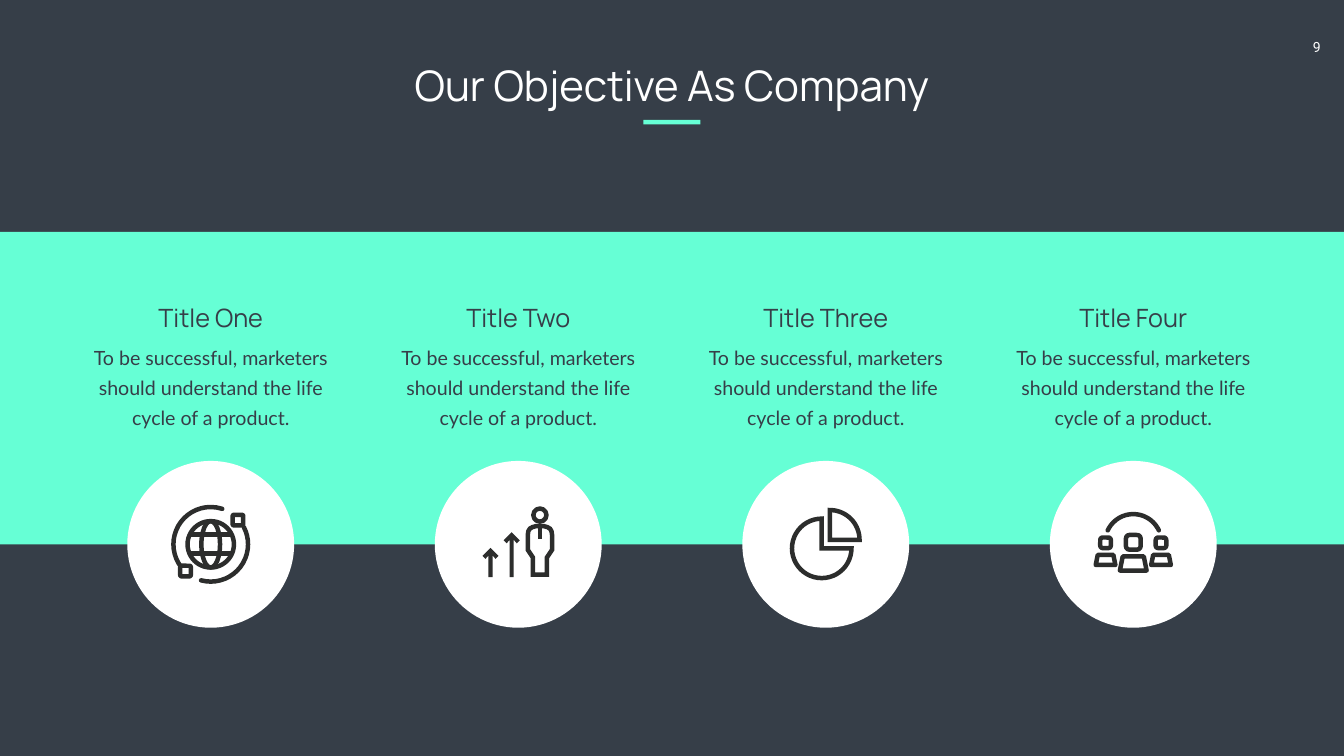
from dataclasses import dataclass
from math import cos, radians, sin

from lxml import etree
from pptx import Presentation
from pptx.dml.color import RGBColor
from pptx.enum.shapes import MSO_CONNECTOR, MSO_SHAPE
from pptx.enum.text import PP_ALIGN
from pptx.oxml.ns import qn
from pptx.util import Inches, Pt

ARC, PIE, OVAL = MSO_SHAPE.ARC, MSO_SHAPE.PIE, MSO_SHAPE.OVAL
RECT, ROUNDED, TRAPEZOID = MSO_SHAPE.RECTANGLE, MSO_SHAPE.ROUNDED_RECTANGLE, MSO_SHAPE.TRAPEZOID
STRAIGHT, CENTER = MSO_CONNECTOR.STRAIGHT, PP_ALIGN.CENTER


@dataclass(frozen=True)
class Theme:
    """Colours, line weight and text formats of the slide."""
    dark = RGBColor(0x36, 0x3E, 0x48)
    mint = RGBColor(0x66, 0xFF, 0xD5)
    white = RGBColor(0xFF, 0xFF, 0xFF)
    ink = RGBColor(0x2C, 0x2D, 0x2C)
    stroke = Pt(6.4)
    number = {"name": "Roboto", "size": Pt(20)}
    heading = {"name": "Manrope", "size": Pt(60)}
    subtitle = {"name": "Manrope", "size": Pt(36)}
    body = {"name": "Lato", "size": Pt(28)}


THEME = Theme()
SUMMARY = "To be successful, marketers should understand the life cycle of a product."


def add_text(slide, box, text, font_format, color, frame_format=None, spacing=None):
    """Place one centred paragraph in a box."""
    frame = slide.shapes.add_textbox(*map(Inches, box)).text_frame
    for name, value in {"word_wrap": True, **(frame_format or {})}.items():
        setattr(frame, name, value)
    paragraph = frame.paragraphs[0]
    paragraph.text = text
    for name, value in {"alignment": CENTER, "line_spacing": spacing}.items():
        setattr(paragraph, name, value)
    for name, value in font_format.items():
        setattr(paragraph.font, name, value)
    paragraph.font.color.rgb = color


def fill_solid(solid, color):
    """Give a shape a plain fill and no outline."""
    solid.shadow.inherit = False
    solid.fill.solid()
    solid.fill.fore_color.rgb = color
    solid.line.fill.background()


def add_solid(slide, kind, box, color):
    """Place a filled preset shape."""
    fill_solid(slide.shapes.add_shape(kind, *map(Inches, box)), color)


def ink_outline(outline, join="round"):
    """Give an icon part the icon stroke and no fill."""
    outline.shadow.inherit = False
    outline.fill.background()
    outline.line.color.rgb = THEME.ink
    outline.line.width = THEME.stroke
    line = outline._element.spPr.get_or_add_ln()
    etree.SubElement(line, qn(f"a:{join}"))
    if join == "miter":
        line[-1].set("lim", "800000")
    return line


def add_outline(slide, kind, x, y, width, height, adjustments=(), join="round"):
    """Place an outlined preset shape centred on a point."""
    box = (x - width / 2, y - height / 2, width, height)
    outline = slide.shapes.add_shape(kind, *map(Inches, box))
    for index, value in enumerate(adjustments):
        outline.adjustments[index] = value
    return ink_outline(outline, join)


def add_sweep(slide, kind, x, y, radius, start, end, join="round"):
    """Place an arc or pie running clockwise between two angles in degrees."""
    line = add_outline(slide, kind, x, y, 2 * radius, 2 * radius, (start * 0.6, end * 0.6), join)
    if kind == ARC:
        line.set("cap", "rnd")


def build_path(slide, x, y, points):
    """Return a closed freeform through points relative to a centre."""
    spots = [(Inches(x + dx), Inches(y + dy)) for dx, dy in points]
    builder = slide.shapes.build_freeform(*spots[0])
    builder.add_line_segments(spots[1:], close=True)
    return builder.convert_to_shape()


def mirrored(half):
    """Complete the right half of a symmetric outline."""
    return half + [(-dx, dy) for dx, dy in reversed(half)]


def add_line(slide, x1, y1, x2, y2):
    """Draw a straight icon stroke."""
    line = slide.shapes.add_connector(STRAIGHT, *map(Inches, (x1, y1, x2, y2)))
    line.line.color.rgb = THEME.ink
    line.line.width = THEME.stroke
    etree.SubElement(line._element.spPr, qn("a:effectLst"))


def globe_icon(slide, x, y):
    """Draw a globe orbited by two square satellites."""
    for width in (0.92, 0.37):
        add_outline(slide, OVAL, x, y, width, 0.92)
    for dy in (-0.19, 0.18):
        add_line(slide, x - 0.42, y + dy, x + 0.42, y + dy)
    for dx, dy, start, end in ((0.54, -0.48, 333, 105), (-0.5, 0.53, 145, 288)):
        add_outline(slide, ROUNDED, x + dx, y + dy, 0.21, 0.21, (0.12,))
        add_sweep(slide, ARC, x, y, 0.74, start, end)


def growth_icon(slide, x, y):
    """Draw two rising arrows beside a standing person."""
    for dx, height in ((-0.55, 0.58), (-0.13, 0.89)):
        half = [(0, 0), (0.16, 0.16), (0.1, 0.22), (0.04, 0.15), (0.04, height)]
        arrow = build_path(slide, x + dx, y + 0.65 - height, mirrored(half))
        fill_solid(arrow, THEME.ink)
    person = x + 0.43
    half = [(0.08, -0.36), (0.15, -0.34), (0.2, -0.31), (0.23, -0.26), (0.24, -0.19),
            (0.24, 0.11), (0.14, 0.26), (0.14, 0.6)]
    ink_outline(build_path(slide, person, y, mirrored(half)), "miter")
    add_line(slide, person, y - 0.36, person, y - 0.1)
    add_outline(slide, OVAL, person, y - 0.58, 0.26, 0.26)


def pie_icon(slide, x, y):
    """Draw a pie with its upper right quarter pulled out."""
    radius = 0.59
    add_sweep(slide, PIE, x - 0.08, y + 0.08, radius, 0, 270, "miter")
    rim = [(radius * sin(radians(angle)), -radius * cos(radians(angle))) for angle in range(0, 91, 5)]
    ink_outline(build_path(slide, x + 0.08, y - 0.09, [(0, 0)] + rim), "miter")


def team_icon(slide, x, y):
    """Draw three people under a joining arc."""
    members = ((0, -0.04, 0.29, 0.38, 0.53, 0.28),
               (-0.55, -0.03, 0.21, 0.31, 0.39, 0.2),
               (0.55, -0.03, 0.21, 0.31, 0.39, 0.2))
    for dx, head_y, head, body_y, width, height in members:
        add_outline(slide, ROUNDED, x + dx, y + head_y, head, head, (0.23,))
        add_outline(slide, TRAPEZOID, x + dx, y + body_y, width, height, (0.2,))
    add_sweep(slide, ARC, x, y - 0.04, 0.56, 205, 335)


def add_header(slide, left, top, width):
    """Place the heading and the short rule centred under it."""
    add_text(slide, (left, top, width, 1.11), "Our Objective As Company", THEME.heading, THEME.white)
    rule = 1.13
    add_solid(slide, RECT, (left + (width - rule) / 2, top + 1.25, rule, 0.09), THEME.mint)


def add_objective(slide, left, top, width, title, draw_icon):
    """Place a title, its summary and a round icon in one column."""
    add_text(slide, (left, top, width, 0.71), title, THEME.subtitle, THEME.dark)
    add_text(slide, (left, top + 0.74, width, 1.84), SUMMARY, THEME.body, THEME.dark, spacing=Pt(43))
    disc = 3.31
    center_x, center_y = left + width / 2, top + 4.86
    add_solid(slide, OVAL, (center_x - disc / 2, center_y - disc / 2, disc, disc), THEME.white)
    draw_icon(slide, center_x, center_y)


def main():
    """Build and save the slide."""
    deck = Presentation()
    deck.slide_width, deck.slide_height = Inches(26.66), Inches(15)
    slide = deck.slides.add_slide(deck.slide_layouts[6])
    slide.background.fill.solid()
    slide.background.fill.fore_color.rgb = THEME.dark
    margins = {"margin_left": Inches(0.2), "margin_right": Inches(0.35), "margin_top": Inches(0.1)}
    add_text(slide, (25.69, 0.67, 1.01, 0.54), "9", THEME.number, THEME.white, margins)
    add_header(slide, 6, 1.13, 14.66)
    add_solid(slide, RECT, (0, 4.6, 26.66, 6.2), THEME.mint)
    objectives = (("Title One", globe_icon), ("Title Two", growth_icon),
                  ("Title Three", pie_icon), ("Title Four", team_icon))
    for column, (title, draw_icon) in enumerate(objectives):
        add_objective(slide, 1.74 + 6.1 * column, 5.94, 4.88, title, draw_icon)
    deck.save("out.pptx")


if __name__ == "__main__":
    main()
